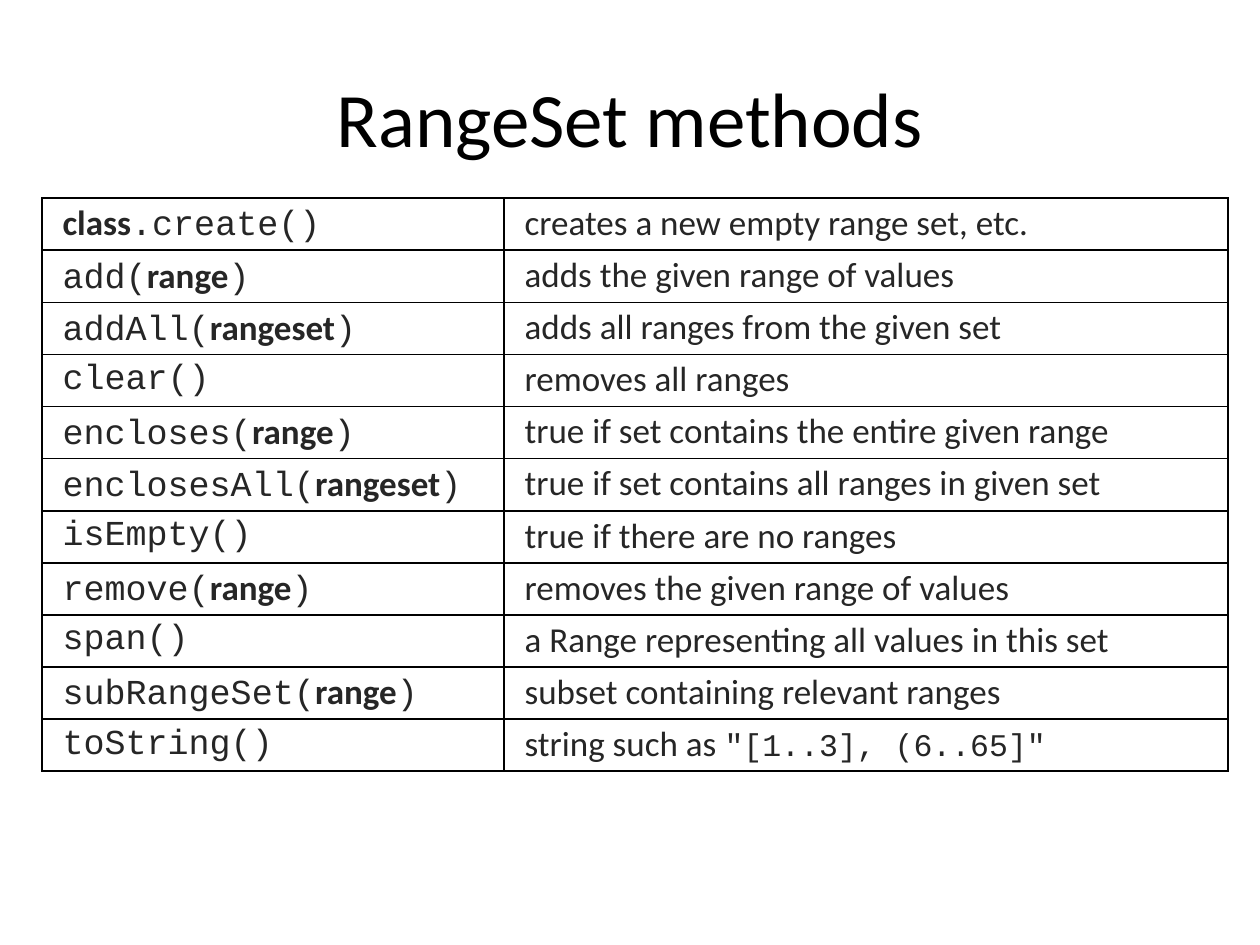
"""Build the slide that lists the RangeSet methods in a two-column table."""
from dataclasses import dataclass

from lxml import etree
from pptx import Presentation
from pptx import util as u
from pptx.dml.color import RGBColor
from pptx.enum import text
from pptx.oxml import ns

PX = 914400 / 126
BLACK = RGBColor(0x00, 0x00, 0x00)
DARK = RGBColor(0x26, 0x26, 0x26)
BODY_FONT = "Calibri"
CODE_FONT = "Courier New"
LEFT, TOP = 42, 198
COL_WIDTHS = (462, 724)
ROW_HEIGHT = 52
INDENT = 8


@dataclass(frozen=True)
class Span:
    text: str
    font: str = BODY_FONT
    size: int = 20
    bold: bool = False
    color: RGBColor = DARK


@dataclass(frozen=True)
class Method:
    signature: tuple[Span, ...]
    effect: tuple[Span, ...]


def px(n: int) -> u.Emu:
    """Turn pixels into EMU."""
    return u.Emu(round(n * PX))


def code(s: str, size: int = 20) -> Span:
    """Make a span of code."""
    return Span(s, CODE_FONT, size)


def method(name: str, effect: str, arg: str = "") -> Method:
    """Describe a method with at most one argument."""
    if arg:
        signature = (code(f"{name}("), Span(arg, bold=True), code(")"))
    else:
        signature = (code(f"{name}()"),)
    return Method(signature, (Span(effect),))


METHODS = (
    Method((Span("class", bold=True), code(".create()")),
           (Span("creates a new empty range set, etc."),)),
    method("add", "adds the given range of values", "range"),
    method("addAll", "adds all ranges from the given set", "rangeset"),
    method("clear", "removes all ranges"),
    method("encloses", "true if set contains the entire given range", "range"),
    method("enclosesAll", "true if set contains all ranges in given set", "rangeset"),
    method("isEmpty", "true if there are no ranges"),
    method("remove", "removes the given range of values", "range"),
    method("span", "a Range representing all values in this set"),
    method("subRangeSet", "subset containing relevant ranges", "range"),
    Method((code("toString()"),),
           (Span("string such as "), code('"[1..3], (6..65]"', 18))),
)


def add_spans(p, spans: tuple[Span, ...]) -> None:
    """Add formatted runs to a paragraph."""
    for span in spans:
        r = p.add_run()
        r.text = span.text
        r.font.name = span.font
        r.font.size = u.Pt(span.size)
        r.font.bold = span.bold
        r.font.color.rgb = span.color


def add_borders(cell) -> None:
    """Draw a thin black line on each side of a cell."""
    props = cell._tc.get_or_add_tcPr()
    for i, side in enumerate(("lnL", "lnR", "lnT", "lnB")):
        ln = etree.Element(ns.qn(f"a:{side}"), w=str(u.Pt(1)))
        fill = etree.SubElement(ln, ns.qn("a:solidFill"))
        etree.SubElement(fill, ns.qn("a:srgbClr"), val=str(BLACK))
        props.insert(i, ln)


def fill_cell(cell, spans: tuple[Span, ...]) -> None:
    """Write and format one table cell."""
    cell.fill.background()
    add_borders(cell)
    p = cell.text_frame.paragraphs[0]
    p.line_spacing = 0.9
    p._p.get_or_add_pPr().set("marL", str(px(INDENT)))
    add_spans(p, spans)


def add_title(slide, title: str) -> None:
    """Place and format the slide title."""
    sp = slide.shapes.title
    sp.left, sp.top, sp.width, sp.height = px(63), px(38), px(1134), px(157)
    tf = sp.text_frame
    tf.vertical_anchor = text.MSO_ANCHOR.MIDDLE
    p = tf.paragraphs[0]
    p.alignment = text.PP_ALIGN.CENTER
    add_spans(p, (Span(title, size=44, color=BLACK),))


def add_methods(slide, methods: tuple[Method, ...]) -> None:
    """Add the table of methods."""
    table = slide.shapes.add_table(
        len(methods), len(COL_WIDTHS), px(LEFT), px(TOP),
        px(sum(COL_WIDTHS)), px(ROW_HEIGHT * len(methods))).table
    table.first_row = False
    table.horz_banding = False
    for col, width in zip(table.columns, COL_WIDTHS):
        col.width = px(width)
    for row, m in zip(table.rows, methods):
        row.height = px(ROW_HEIGHT)
        for cell, spans in zip(row.cells, (m.signature, m.effect)):
            fill_cell(cell, spans)


def main() -> None:
    """Build and save the slide."""
    prs = Presentation()
    prs.slide_width, prs.slide_height = px(1260), px(945)
    slide = prs.slides.add_slide(prs.slide_layouts[5])
    add_title(slide, "RangeSet methods")
    add_methods(slide, METHODS)
    prs.save("out.pptx")


if __name__ == "__main__":
    main()
